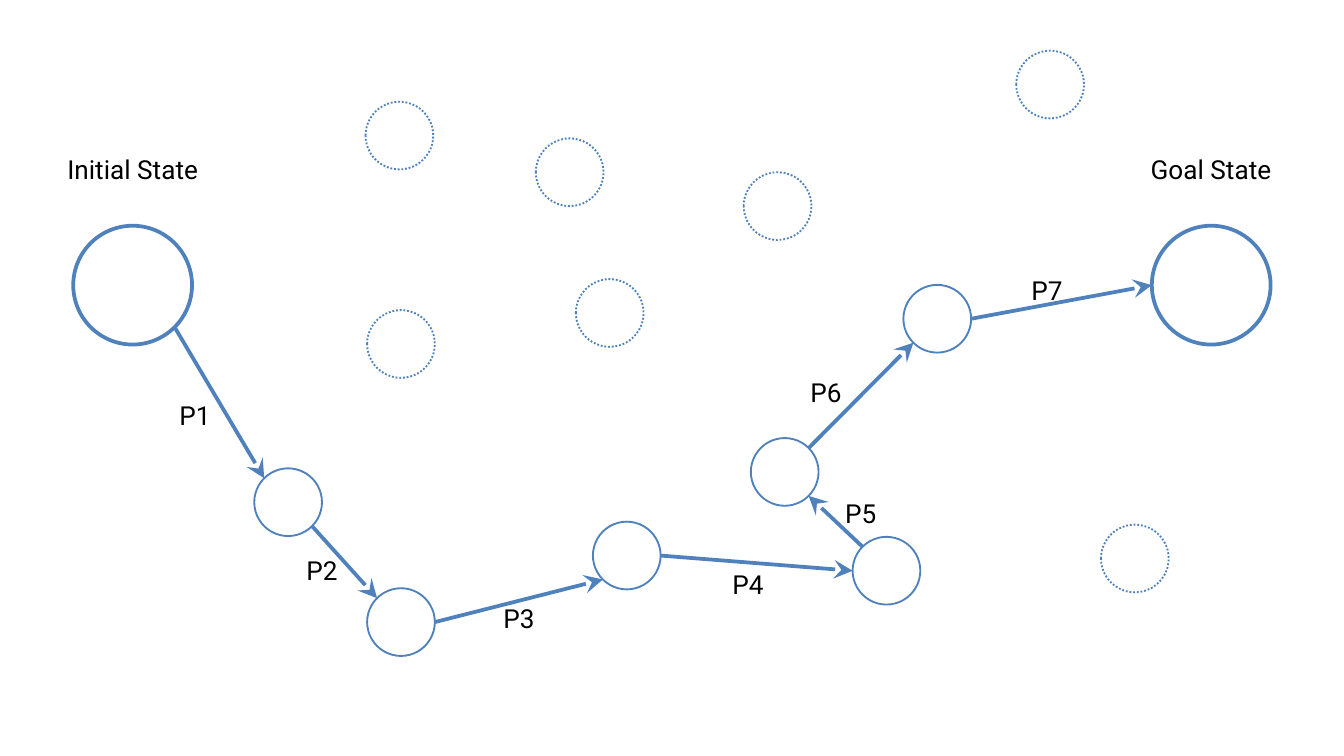
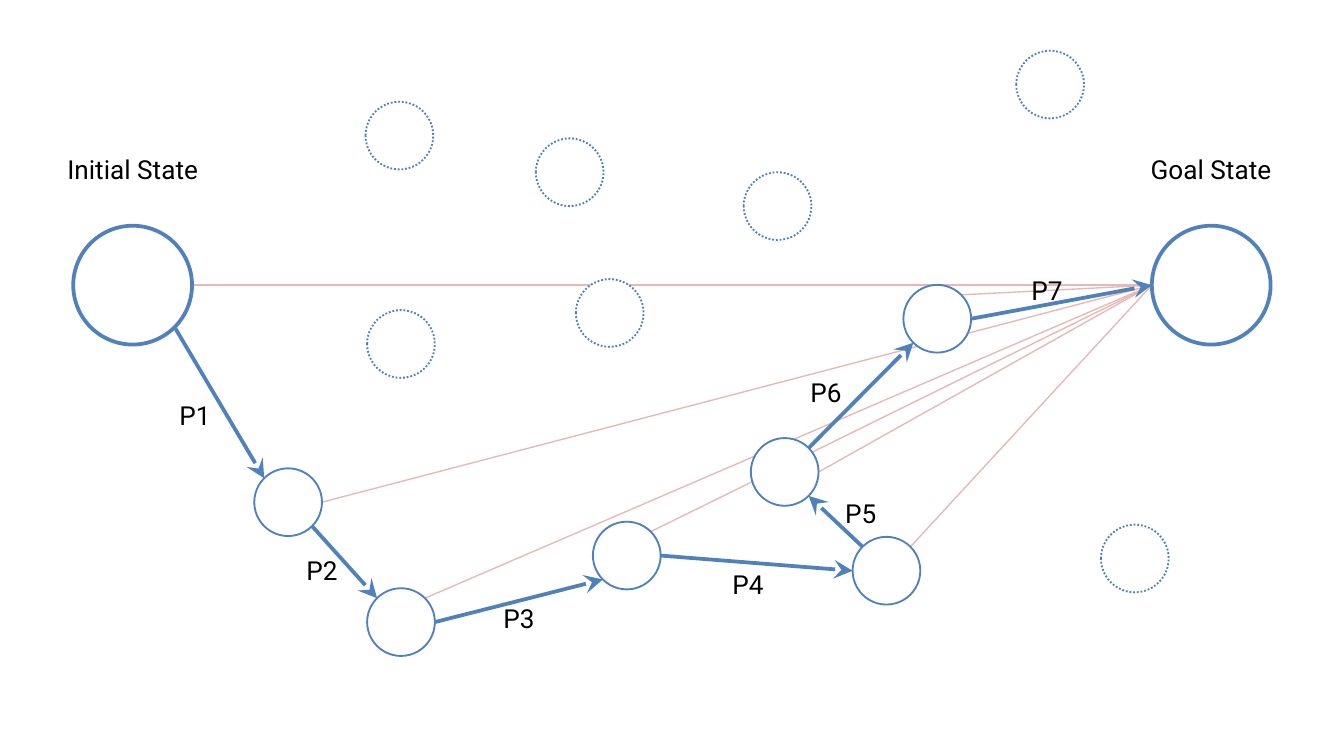
import dataclasses
import enum
import math

import lxml.etree
import pptx
import pptx.dml.color
import pptx.enum.dml
import pptx.enum.shapes
import pptx.enum.text
import pptx.oxml.ns
import pptx.shapes.connector
import pptx.slide
import pptx.util

COLORS = {"white": "FFFFFF", "black": "000000", "blue": "4F81BD", "pink": "E6B9B8"}
FONT = "Roboto"
SLIDE_WIDTH = pptx.util.Inches(10)
SLIDE_HEIGHT = pptx.util.Emu(SLIDE_WIDTH * 9 // 16)
COLUMNS = 100
CELL = SLIDE_WIDTH / COLUMNS
SMALL, LARGE = 5.04, 8.84
LABEL_HEIGHT = 3.4
STEP_WIDTH, STATE_WIDTH = 5.5, 14.7


class Side(enum.IntEnum):
    RIGHT = 0
    BOTTOM_RIGHT = 45
    BOTTOM_LEFT = 135
    LEFT = 180
    TOP_LEFT = 225
    TOP_RIGHT = 315


@dataclasses.dataclass(frozen=True)
class State:
    column: float
    row: float
    size: float = SMALL
    weight: float = 1
    dotted: bool = False

    def edge(self, side: Side) -> tuple[float, float]:
        radius = self.size / 2
        angle = math.radians(side)
        return (self.column + radius * (1 + math.cos(angle)),
                self.row + radius * (1 + math.sin(angle)))


@dataclasses.dataclass(frozen=True)
class Label:
    text: str
    column: float
    row: float
    width: float = STEP_WIDTH


@dataclasses.dataclass(frozen=True)
class Step:
    leaves: Side
    enters: Side
    label_column: float
    label_row: float
    estimate_leaves: Side


ROUTE = [
    State(5.45, 16.8, LARGE, 2),
    State(18.92, 34.85),
    State(27.32, 43.77),
    State(44.12, 38.82),
    State(63.44, 39.95),
    State(55.87, 32.6),
    State(67.22, 21.2),
    State(85.7, 16.8, LARGE, 2),
]
GOAL = ROUTE[-1]

UNVISITED = [
    State(column, row, dotted=True)
    for column, row in [(27.32, 23.08), (42.85, 20.77), (27.2, 7.57), (39.87, 10.3),
                        (55.34, 12.82), (81.92, 39.04), (75.62, 3.77)]
]

STEPS = [
    Step(Side.BOTTOM_RIGHT, Side.TOP_LEFT, 11.75, 29.24, Side.RIGHT),
    Step(Side.BOTTOM_RIGHT, Side.TOP_LEFT, 21.2, 40.74, Side.RIGHT),
    Step(Side.RIGHT, Side.BOTTOM_LEFT, 35.87, 44.34, Side.TOP_RIGHT),
    Step(Side.RIGHT, Side.LEFT, 52.9, 41.8, Side.TOP_RIGHT),
    Step(Side.TOP_LEFT, Side.BOTTOM_RIGHT, 61.3, 36.5, Side.TOP_RIGHT),
    Step(Side.TOP_RIGHT, Side.BOTTOM_LEFT, 58.7, 27.5, Side.RIGHT),
    Step(Side.RIGHT, Side.LEFT, 75.16, 19.9, Side.TOP_RIGHT),
]

STATE_LABELS = [
    Label("Initial State", 2.53, 10.9, STATE_WIDTH),
    Label("Goal State", 82.76, 10.9, STATE_WIDTH),
]


def cells(count: float) -> pptx.util.Emu:
    return pptx.util.Emu(round(count * CELL))


def color(name: str) -> pptx.dml.color.RGBColor:
    return pptx.dml.color.RGBColor.from_string(COLORS[name])


def draw_state(slide: pptx.slide.Slide, state: State) -> None:
    shape = slide.shapes.add_shape(
        pptx.enum.shapes.MSO_SHAPE.OVAL, cells(state.column), cells(state.row),
        cells(state.size), cells(state.size))
    shape.shadow.inherit = False
    shape.fill.solid()
    shape.fill.fore_color.rgb = color("white")
    shape.line.color.rgb = color("blue")
    shape.line.width = pptx.util.Pt(state.weight)
    if state.dotted:
        shape.line.dash_style = pptx.enum.dml.MSO_LINE.ROUND_DOT


def draw_label(slide: pptx.slide.Slide, label: Label) -> None:
    box = slide.shapes.add_textbox(
        cells(label.column), cells(label.row), cells(label.width), cells(LABEL_HEIGHT))
    frame = box.text_frame
    frame.word_wrap = True
    frame.auto_size = pptx.enum.text.MSO_AUTO_SIZE.SHAPE_TO_FIT_TEXT
    paragraph = frame.paragraphs[0]
    paragraph.alignment = pptx.enum.text.PP_ALIGN.CENTER
    run = paragraph.add_run()
    run.text = label.text
    run.font.name = FONT
    run.font.size = pptx.util.Pt(14)
    run.font.color.rgb = color("black")


def draw_line(slide: pptx.slide.Slide, start: tuple[float, float],
              end: tuple[float, float], color_name: str,
              weight: float) -> pptx.shapes.connector.Connector:
    connector = slide.shapes.add_connector(
        pptx.enum.shapes.MSO_CONNECTOR.STRAIGHT,
        *[cells(value) for value in (*start, *end)])
    connector.line.color.rgb = color(color_name)
    connector.line.width = pptx.util.Pt(weight)
    properties = connector._element.spPr
    lxml.etree.SubElement(properties, pptx.oxml.ns.qn("a:effectLst"))
    return connector


def draw_estimates(slide: pptx.slide.Slide) -> None:
    for state, step in zip(ROUTE, STEPS):
        draw_line(slide, state.edge(step.estimate_leaves), GOAL.edge(Side.LEFT),
                  "pink", 0.75)


def draw_states(slide: pptx.slide.Slide) -> None:
    for label in STATE_LABELS:
        draw_label(slide, label)
    for state in ROUTE + UNVISITED:
        draw_state(slide, state)


def draw_arrows(slide: pptx.slide.Slide) -> None:
    for state, following, step in zip(ROUTE, ROUTE[1:], STEPS):
        connector = draw_line(slide, state.edge(step.leaves),
                              following.edge(step.enters), "blue", 2)
        lxml.etree.SubElement(connector.line._get_or_add_ln(),
                              pptx.oxml.ns.qn("a:tailEnd"),
                              type="stealth", w="lg", len="lg")


def draw_step_labels(slide: pptx.slide.Slide) -> None:
    for number, step in enumerate(STEPS, start=1):
        draw_label(slide, Label(f"P{number}", step.label_column, step.label_row))


SLIDE_LAYERS = [
    [draw_states, draw_arrows, draw_step_labels],
    [draw_estimates, draw_states, draw_step_labels, draw_arrows],
]


def main() -> None:
    presentation = pptx.Presentation()
    presentation.slide_width = SLIDE_WIDTH
    presentation.slide_height = SLIDE_HEIGHT
    blank_layout = presentation.slide_layouts.get_by_name("Blank")
    for layers in SLIDE_LAYERS:
        slide = presentation.slides.add_slide(blank_layout)
        for draw_layer in layers:
            draw_layer(slide)
    presentation.save("out.pptx")


if __name__ == "__main__":
    main()
